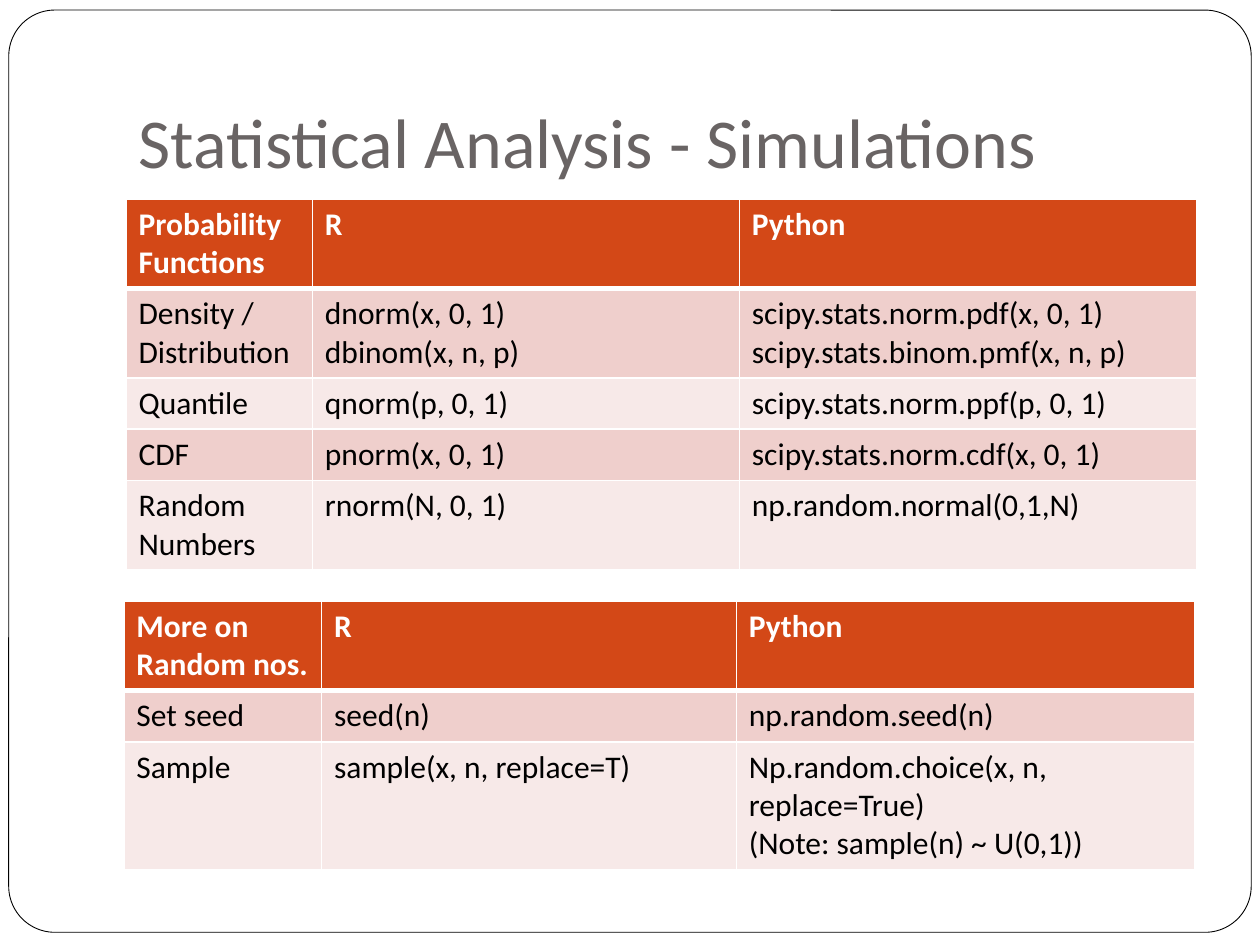
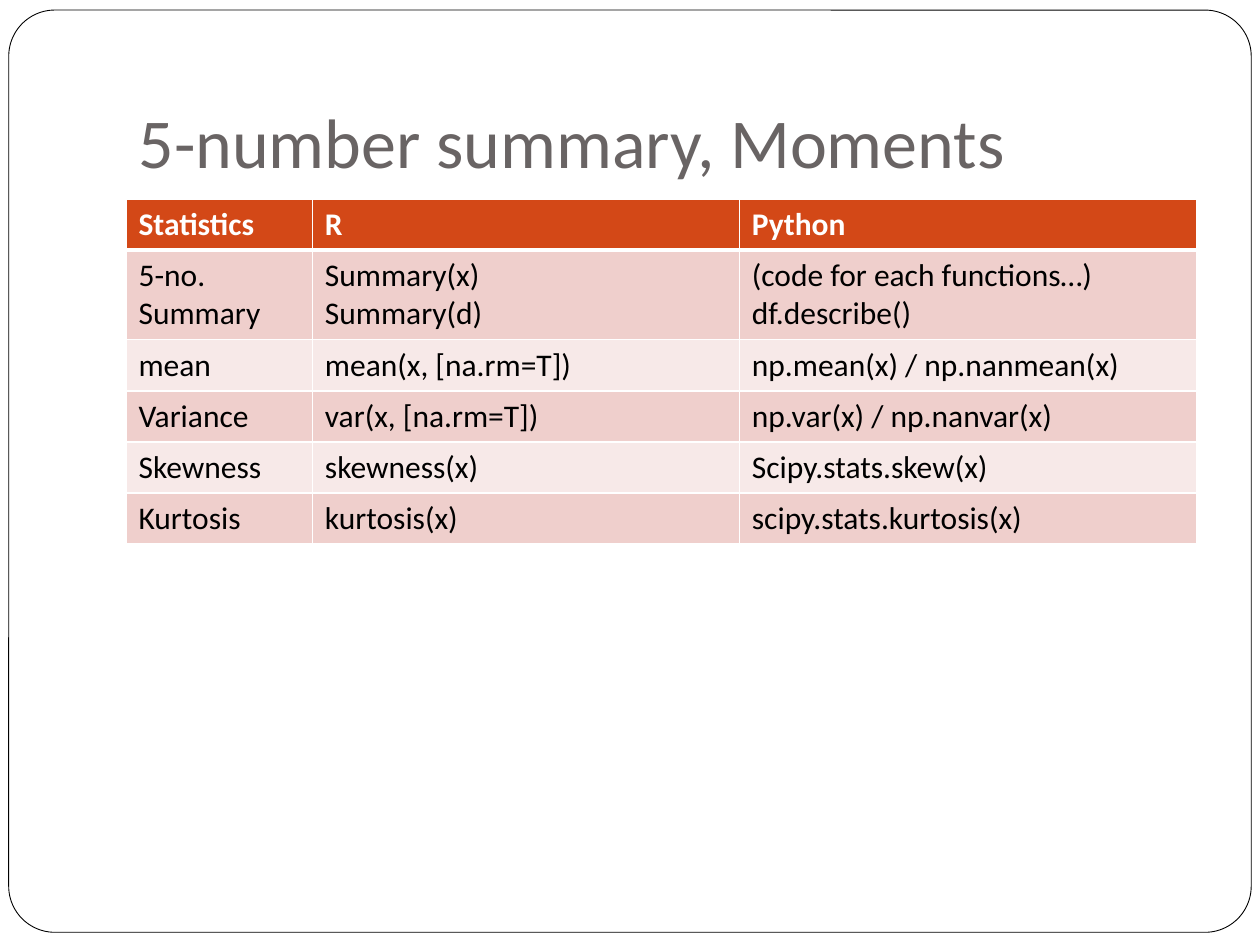
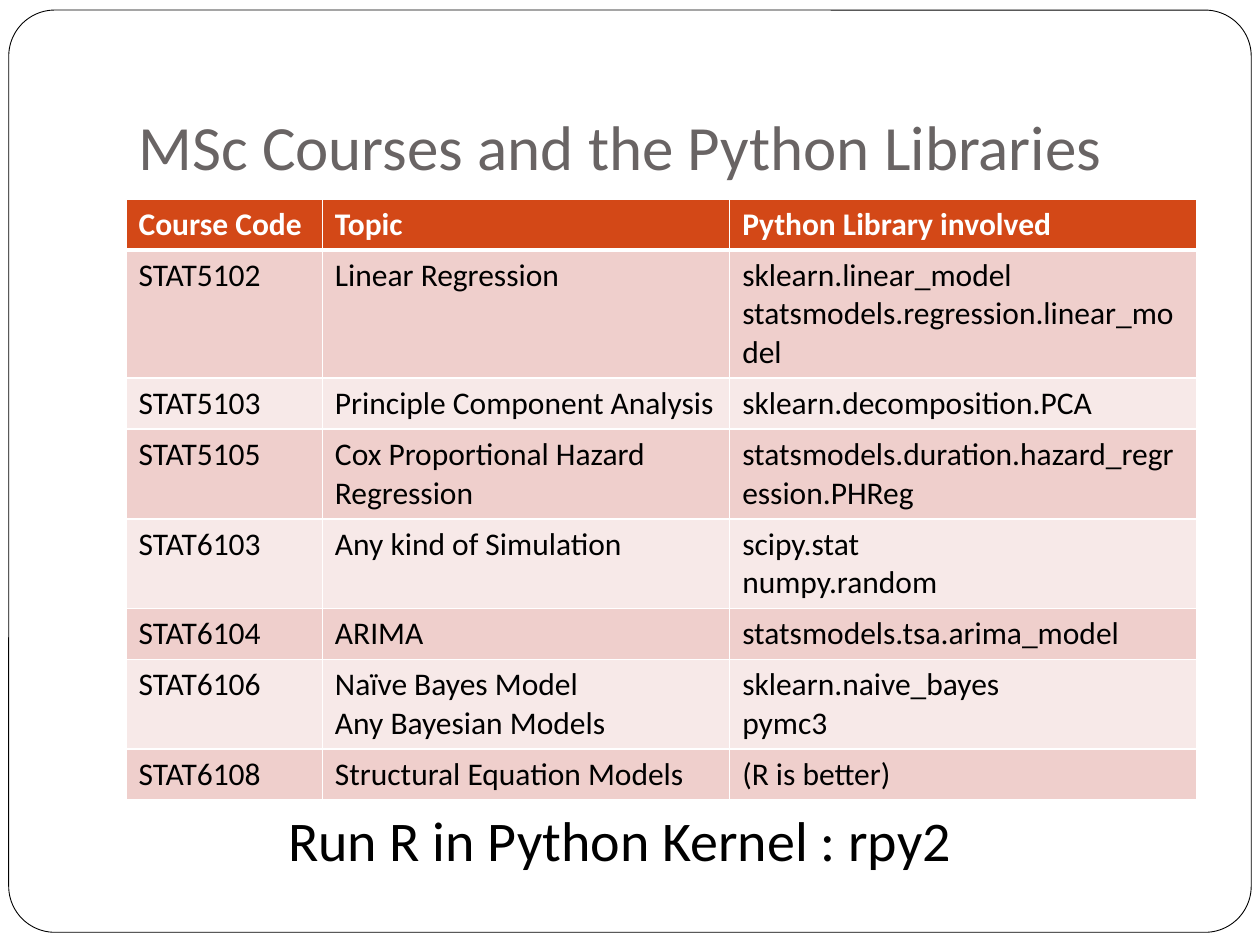
"""Build three slides that compare statistics tools in R and Python."""
from dataclasses import dataclass
from typing import Any

from lxml import etree
from pptx import Presentation
from pptx import util as u
from pptx.dml import color
from pptx.enum import shapes, text
from pptx.oxml import ns


@dataclass(frozen=True)
class Theme:
    """Colours, font and type sizes."""
    font: str = "Calibri"
    paper: str = "FFFFFF"
    ink: str = "000000"
    heading: str = "696464"
    header: str = "D34817"
    bands: tuple[str, str] = ("EFCFCC", "F7E9E8")
    title_size: float = 40
    long_title_size: float = 36
    closing_size: float = 32
    cell_size: float = 18
    row_height: float = 29.2
    rule: float = 1
    header_rule: float = 3


@dataclass(frozen=True)
class Box:
    """A place on the slide, in points."""
    left: float
    top: float
    width: float
    height: float

    def lengths(self) -> list[u.Length]:
        """Return left, top, width and height as lengths."""
        return [u.Pt(value) for value in (self.left, self.top, self.width, self.height)]


@dataclass(frozen=True)
class Comparison:
    """A table with its corner, column widths and rows of text."""
    left: float
    top: float
    columns: tuple[float, ...]
    rows: tuple[tuple[str, ...], ...]


@dataclass(frozen=True)
class Topic:
    """One slide with its title, tables and optional closing line."""
    title: str
    title_size: float
    comparisons: tuple[Comparison, ...]
    closing: str = ""


THEME = Theme()
FRAME_BOX = Box(5, 5.75, 710, 527)
TITLE_BOX = Box(72, 21.6, 612, 90)
CLOSING_BOX = Box(76.3, 456.5, 556, 46)
TABLE_TOP = 113.75
R_PYTHON_COLUMNS = (106.5, 244, 261.5)

TOPICS = (
    Topic("Statistical Analysis - Simulations", THEME.title_size, (
        Comparison(72, TABLE_TOP, R_PYTHON_COLUMNS, (
            ("Probability Functions", "R", "Python"),
            ("Density / Distribution", "dnorm(x, 0, 1)\vdbinom(x, n, p)",
             "scipy.stats.norm.pdf(x, 0, 1)\vscipy.stats.binom.pmf(x, n, p)"),
            ("Quantile", "qnorm(p, 0, 1)", "scipy.stats.norm.ppf(p, 0, 1)"),
            ("CDF", "pnorm(x, 0, 1)", "scipy.stats.norm.cdf(x, 0, 1)"),
            ("Random Numbers", "rnorm(N, 0, 1)", "np.random.normal(0,1,N)"),
        )),
        Comparison(70.75, 343.5, (113, 237, 262), (
            ("More on Random nos.", "R", "Python"),
            ("Set seed", "seed(n)", "np.random.seed(n)"),
            ("Sample", "sample(x, n, replace=T)",
             "Np.random.choice(x, n, replace=True)\n(Note: sample(n) ~ U(0,1))"),
        )),
    )),
    Topic("5-number summary, Moments", THEME.title_size, (
        Comparison(72, TABLE_TOP, R_PYTHON_COLUMNS, (
            ("Statistics", "R", "Python"),
            ("5-no. Summary", "Summary(x)\vSummary(d)",
             "(code for each functions…)\ndf.describe()"),
            ("mean", "mean(x, [na.rm=T])", "np.mean(x) / np.nanmean(x)"),
            ("Variance", "var(x, [na.rm=T])", "np.var(x) / np.nanvar(x)"),
            ("Skewness", "skewness(x)", "Scipy.stats.skew(x)"),
            ("Kurtosis", "kurtosis(x)", "scipy.stats.kurtosis(x)"),
        )),
    )),
    Topic("MSc Courses and the Python Libraries", THEME.long_title_size, (
        Comparison(72, TABLE_TOP, (112.25, 232.75, 267), (
            ("Course Code", "Topic", "Python Library involved"),
            ("STAT5102", "Linear Regression",
             "sklearn.linear_model\vstatsmodels.regression.linear_model"),
            ("STAT5103", "Principle Component Analysis", "sklearn.decomposition.PCA"),
            ("STAT5105", "Cox Proportional Hazard Regression",
             "statsmodels.duration.hazard_regression.PHReg"),
            ("STAT6103", "Any kind of Simulation", "scipy.stat\nnumpy.random"),
            ("STAT6104", "ARIMA", "statsmodels.tsa.arima_model"),
            ("STAT6106", "Naïve Bayes Model\vAny Bayesian Models",
             "sklearn.naive_bayes\npymc3"),
            ("STAT6108", "Structural Equation Models", "(R is better)"),
        )),
    ), "Run R in Python Kernel : rpy2"),
)


def apply(target: Any, formats: dict[str, Any]) -> None:
    """Set every attribute in formats on target."""
    for name, value in formats.items():
        setattr(target, name, value)


def rgb(value: str) -> color.RGBColor:
    """Turn a hex value into a colour."""
    return color.RGBColor.from_string(value)


def paint(fill: Any, value: str) -> None:
    """Fill with one solid colour."""
    fill.solid()
    fill.fore_color.rgb = rgb(value)


def write(frame: Any, content: str, size: float, ink: str, bold: bool = False,
          align: text.PP_ALIGN = text.PP_ALIGN.LEFT) -> None:
    """Write content into a text frame in one style."""
    frame.text = content
    for paragraph in frame.paragraphs:
        paragraph.alignment = align
        for run in paragraph.runs:
            apply(run.font, {"name": THEME.font, "size": u.Pt(size), "bold": bold})
            run.font.color.rgb = rgb(ink)


def rule_cell(cell: Any, top: float, bottom: float) -> None:
    """Draw the four borders of a cell."""
    properties = cell._tc.get_or_add_tcPr()
    widths = {"a:lnL": THEME.rule, "a:lnR": THEME.rule, "a:lnT": top, "a:lnB": bottom}
    for position, (tag, width) in enumerate(widths.items()):
        border = etree.Element(ns.qn(tag), w=str(u.Pt(width)))
        solid = etree.SubElement(border, ns.qn("a:solidFill"))
        etree.SubElement(solid, ns.qn("a:srgbClr"), val=THEME.paper)
        properties.insert(position, border)


def add_comparison(slide: Any, comparison: Comparison) -> None:
    """Add a table with a header row and banded rows."""
    row_count, columns = len(comparison.rows), comparison.columns
    place = Box(comparison.left, comparison.top, sum(columns), row_count * THEME.row_height)
    table = slide.shapes.add_table(row_count, len(columns), *place.lengths()).table
    apply(table, {"first_row": False, "horz_banding": False})
    for column, width in zip(table.columns, columns):
        column.width = u.Pt(width)
    for row_index, entries in enumerate(comparison.rows):
        is_header = row_index == 0
        background = THEME.header if is_header else THEME.bands[(row_index - 1) % 2]
        top = THEME.header_rule if row_index == 1 else THEME.rule
        bottom = THEME.header_rule if is_header else THEME.rule
        table.rows[row_index].height = u.Pt(THEME.row_height)
        for column_index, entry in enumerate(entries):
            cell = table.cell(row_index, column_index)
            write(cell.text_frame, entry, THEME.cell_size,
                  THEME.paper if is_header else THEME.ink, is_header)
            paint(cell.fill, background)
            rule_cell(cell, top, bottom)


def add_title(slide: Any, topic: Topic) -> None:
    """Place and write the slide title."""
    title = slide.shapes.title
    apply(title, dict(zip(("left", "top", "width", "height"), TITLE_BOX.lengths())))
    write(title.text_frame, topic.title, topic.title_size, THEME.heading)
    apply(title.text_frame, {
        "vertical_anchor": text.MSO_ANCHOR.BOTTOM, "auto_size": text.MSO_AUTO_SIZE.NONE,
        "word_wrap": True, "margin_left": u.Pt(7.2), "margin_right": u.Pt(7.2),
        "margin_top": u.Pt(3.6), "margin_bottom": u.Pt(7.2),
    })


def add_closing(slide: Any, closing: str) -> None:
    """Add the centred closing line."""
    frame = slide.shapes.add_textbox(*CLOSING_BOX.lengths()).text_frame
    frame.word_wrap = True
    write(frame, closing, THEME.closing_size, THEME.ink, align=text.PP_ALIGN.CENTER)


def frame_layout(slide: Any) -> None:
    """Give the layout of a slide its rounded frame."""
    frame = slide.shapes.add_shape(shapes.MSO_SHAPE.ROUNDED_RECTANGLE, *FRAME_BOX.lengths())
    frame.adjustments[0] = 0.05
    frame.shadow.inherit = False
    paint(frame.fill, THEME.paper)
    paint(frame.line.fill, THEME.ink)
    frame.line.width = u.Pt(0.5)
    frame._element.nvSpPr.cNvPr.set("id", "100")
    slide.slide_layout.shapes._spTree.insert(2, frame._element)


def main() -> None:
    """Build and save the presentation."""
    deck = Presentation()
    apply(deck, {"slide_width": u.Pt(720), "slide_height": u.Pt(540)})
    layout = deck.slide_layouts.get_by_name("Title Only")
    for topic in TOPICS:
        slide = deck.slides.add_slide(layout)
        add_title(slide, topic)
        for comparison in topic.comparisons:
            add_comparison(slide, comparison)
        if topic.closing:
            add_closing(slide, topic.closing)
    frame_layout(deck.slides[0])
    deck.save("out.pptx")


if __name__ == "__main__":
    main()
